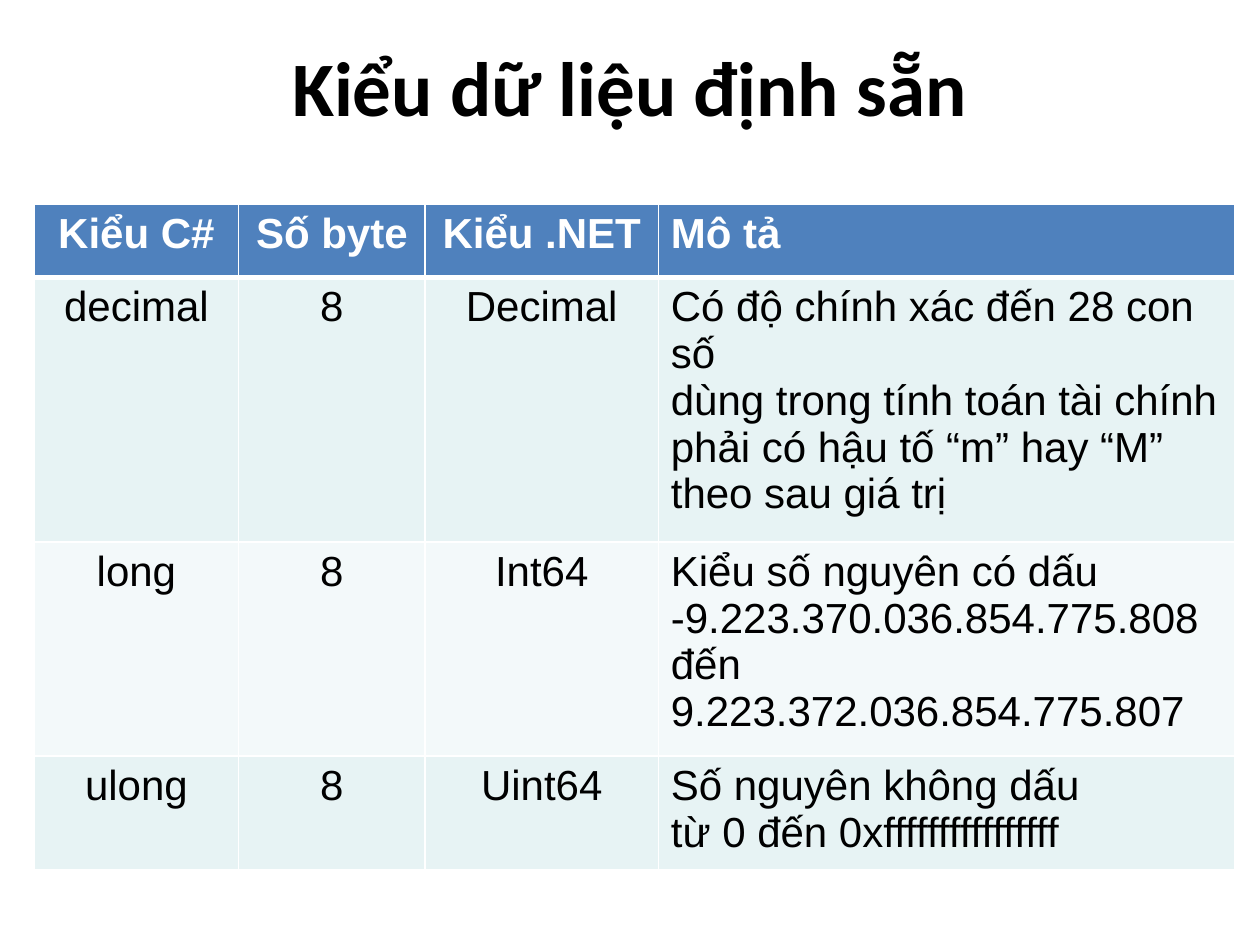
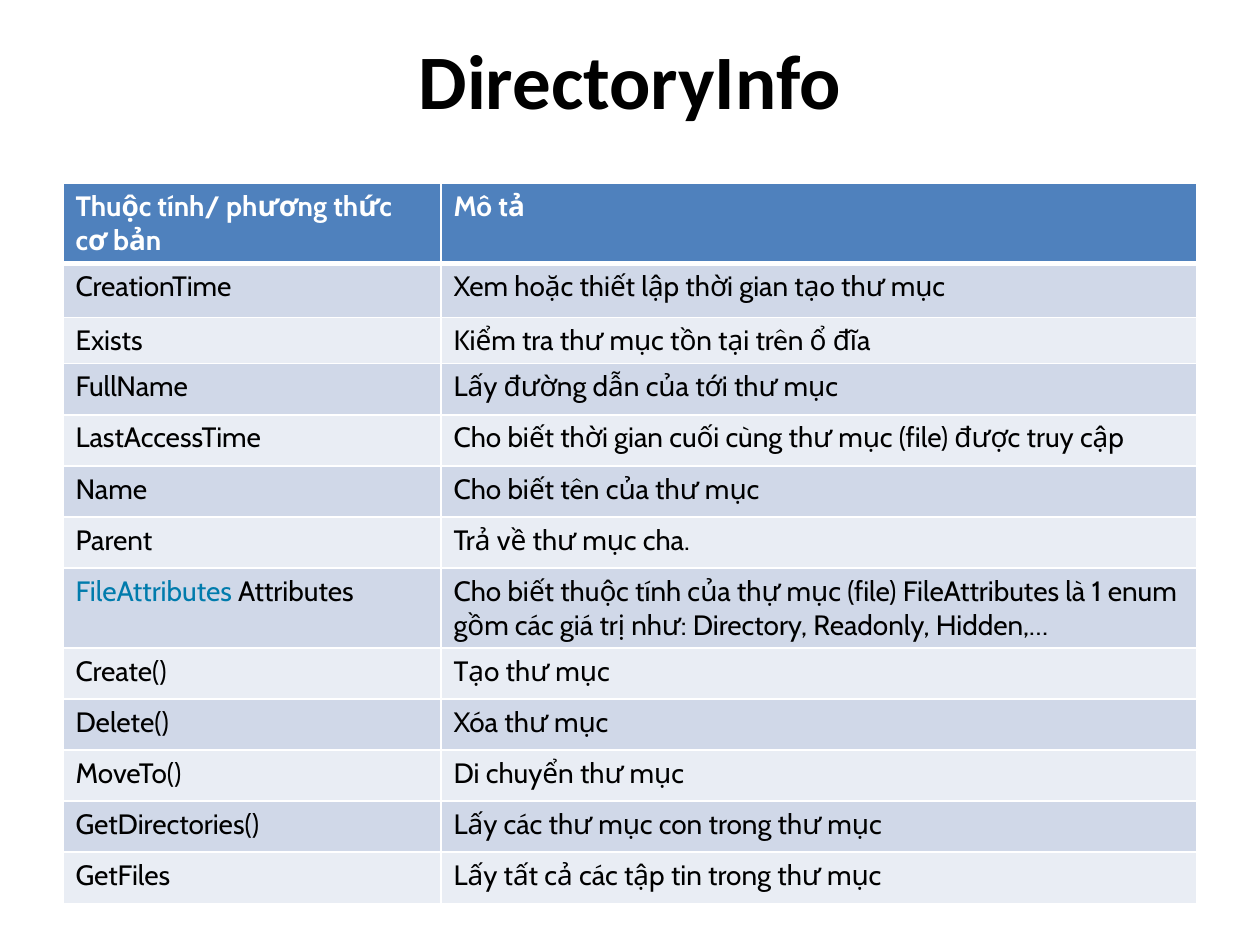
import copy

import pptx
import pptx.dml.color
import pptx.enum.text
import pptx.oxml
import pptx.oxml.ns
import pptx.util

Cm, Pt = pptx.util.Cm, pptx.util.Pt
Align = pptx.enum.text.PP_ALIGN
Anchor = pptx.enum.text.MSO_ANCHOR

HUES = {
    "text": "000000",
    "white": "FFFFFF",
    "head": "4F81BD",
    "link": "007BAC",
    "mint": "E7F3F4",
    "ice": "F3F9FA",
    "blue": "D0D8E8",
    "pale": "E9EDF4",
}


def tone(name):
    return pptx.dml.color.RGBColor.from_string(HUES[name])


class Deck:
    """Holds the shared style and the current slide."""

    def __init__(self):
        self.prs = pptx.Presentation()
        self.prs.slide_width = Cm(25.4)
        self.prs.slide_height = Cm(19.05)
        self.slide = None

    def start(self):
        self.slide = self.prs.slides.add_slide(self.prs.slide_layouts[6])

    def style(self, para, face, size, hue, bold=False, align=Align.LEFT):
        para.alignment = align
        for run in para.runs:
            run.font.name = face
            run.font.size = Pt(size)
            run.font.bold = bold
            run.font.color.rgb = tone(hue)

    def title(self, text, top):
        box = self.slide.shapes.add_textbox(Cm(1.27), Cm(top), Cm(22.86), Cm(3.18))
        frame = box.text_frame
        frame.word_wrap = True
        frame.vertical_anchor = Anchor.MIDDLE
        frame.text = text
        self.style(frame.paragraphs[0], "Calibri", 44, "text", True, Align.CENTER)

    def edges(self, cell, top, bottom):
        props = cell._tc.get_or_add_tcPr()
        for side, width in (("L", 1), ("R", 1), ("T", top), ("B", bottom)):
            props.append(pptx.oxml.parse_xml(
                f'<a:ln{side} {pptx.oxml.ns.nsdecls("a")} w="{Pt(width)}">'
                f'<a:solidFill><a:srgbClr val="{HUES["white"]}"/></a:solidFill>'
                f'</a:ln{side}>'))

    def table(self, data, left, top, cols, rows, face, size, bands, mid=0, after=0):
        """Draw a table; the first `mid` columns are centred."""
        grid = self.slide.shapes.add_table(
            len(rows), len(cols), Cm(left), Cm(top), Cm(sum(cols)), Cm(sum(rows))).table
        for col, width in zip(grid.columns, cols):
            col.width = Cm(width)
        for r, (line, height) in enumerate(zip(data, rows)):
            grid.rows[r].height = Cm(height)
            head = r == 0
            for c, text in enumerate(line):
                cell = grid.cell(r, c)
                self.edges(cell, 3 if r == 1 else 1, 3 if head else 1)
                cell.fill.solid()
                cell.fill.fore_color.rgb = tone("head" if head else bands[(r - 1) % 2])
                cell.text_frame.text = text
                for para in cell.text_frame.paragraphs:
                    para.space_after = Pt(after)
                    self.style(para, face, size, "white" if head else "text", head,
                               Align.CENTER if c < mid else Align.LEFT)
        return grid

    def tint(self, cell, word, hue):
        """Colour the leading word of a cell."""
        run = cell.text_frame.paragraphs[0].runs[0]
        rest = run.text[len(word):]
        run._r.addnext(copy.deepcopy(run._r))
        run.text = word
        run.font.color.rgb = tone(hue)
        cell.text_frame.paragraphs[0].runs[1].text = rest


TYPES = [
    ("Kiểu C#", "Số byte", "Kiểu .NET", "Mô tả"),
    ("decimal", "8", "Decimal",
     "Có độ chính xác đến 28 con số\ndùng trong tính toán tài chính\n"
     "phải có hậu tố “m” hay “M”\ntheo sau giá trị"),
    ("long", "8", "Int64",
     "Kiểu số nguyên có dấu\n-9.223.370.036.854.775.808 đến\n9.223.372.036.854.775.807"),
    ("ulong", "8", "Uint64", "Số nguyên không dấu\ntừ 0 đến 0xffffffffffffffff"),
]

MEMBERS = [
    ("Thuộc tính/ phương thức cơ bản", "Mô tả"),
    ("CreationTime", "Xem hoặc thiết lập thời gian tạo thư mục"),
    ("Exists", "Kiểm tra thư mục tồn tại trên ổ đĩa"),
    ("FullName", "Lấy đường dẫn của tới thư mục"),
    ("LastAccessTime", "Cho biết thời gian cuối cùng thư mục (file) được truy cập"),
    ("Name", "Cho biết tên của thư mục"),
    ("Parent", "Trả về thư mục cha."),
    ("FileAttributes Attributes",
     "Cho biết thuộc tính của thự mục (file) FileAttributes là 1 enum "
     "gồm các giá trị như: Directory, Readonly, Hidden,…"),
    ("Create()", "Tạo thư mục"),
    ("Delete()", "Xóa thư mục"),
    ("MoveTo()", "Di chuyển thư mục"),
    ("GetDirectories()", "Lấy các thư mục con trong thư mục"),
    ("GetFiles", "Lấy tất cả các tập tin trong thư mục"),
]


def main():
    deck = Deck()

    # Built-in data types
    deck.start()
    deck.title("Kiểu dữ liệu định sẵn", 0.13)
    deck.table(TYPES, 0.69, 4.12, [4.12, 3.76, 4.7, 11.63], [1.47, 4.96, 4.03, 2.13],
               "Arial", 24, ("mint", "ice"), mid=3)

    # DirectoryInfo members
    deck.start()
    rows = [1.6, 1.09, 0.89] + [1.03] * 4 + [1.6] + [1.03] * 5
    grid = deck.table(MEMBERS, 1.27, 3.7, [7.62, 15.24], rows,
                      "Cabin", 16, ("blue", "pale"), after=1)
    deck.tint(grid.cell(7, 0), "FileAttributes", "link")
    deck.title("DirectoryInfo", 0)

    deck.prs.save("out.pptx")


if __name__ == "__main__":
    main()
